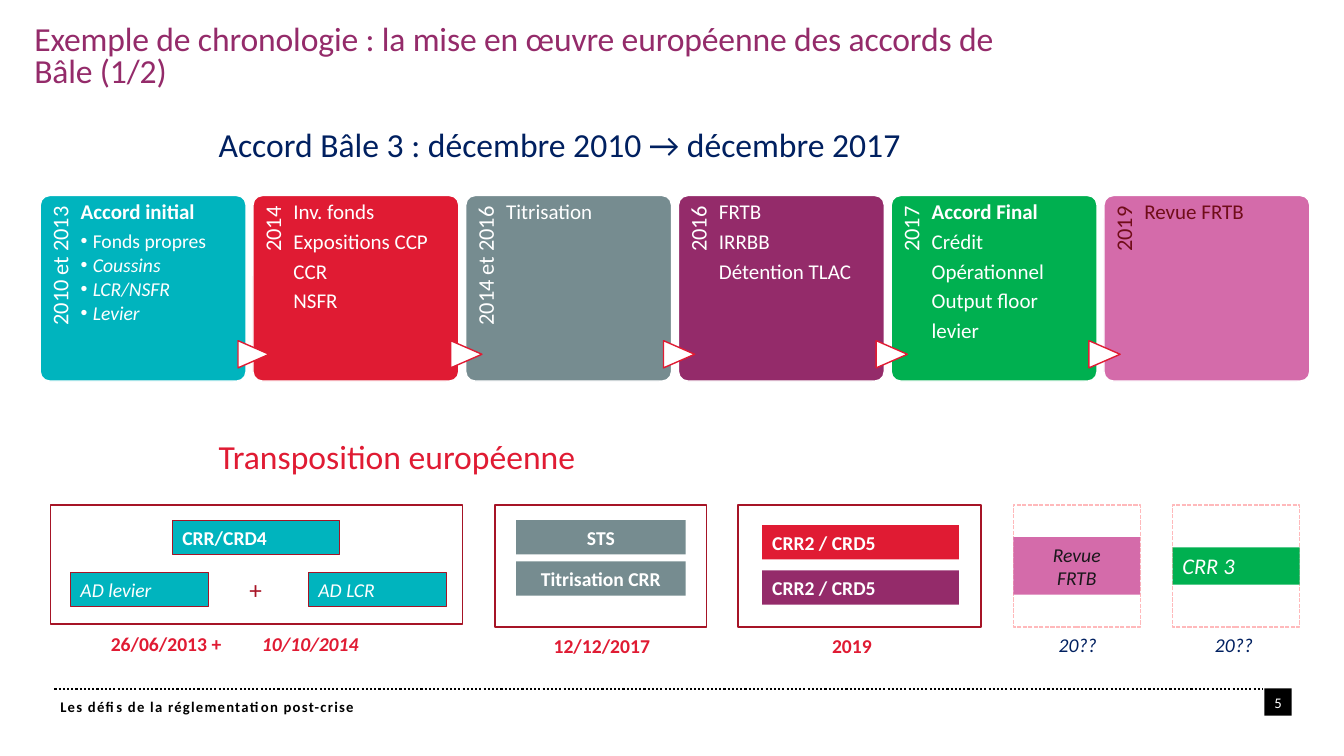
from lxml import etree
from pptx import Presentation
from pptx.dml.color import RGBColor
from pptx.enum.dml import MSO_LINE
from pptx.enum.shapes import MSO_CONNECTOR, MSO_SHAPE
from pptx.enum.text import MSO_ANCHOR, MSO_AUTO_SIZE, PP_ALIGN
from pptx.oxml.ns import qn
from pptx.util import Pt

RECT, ROUNDED = MSO_SHAPE.RECTANGLE, MSO_SHAPE.ROUNDED_RECTANGLE
EXTRACT, PROCESS = MSO_SHAPE.FLOWCHART_EXTRACT, MSO_SHAPE.FLOWCHART_PROCESS
STRAIGHT = MSO_CONNECTOR.STRAIGHT
DOTTED, DASHED = MSO_LINE.ROUND_DOT, MSO_LINE.SQUARE_DOT
TOP, MIDDLE = MSO_ANCHOR.TOP, MSO_ANCHOR.MIDDLE
LEFT, CENTER, RIGHT = PP_ALIGN.LEFT, PP_ALIGN.CENTER, PP_ALIGN.RIGHT
NO_FIT = MSO_AUTO_SIZE.NONE

FONT = "Calibri"
EMU_PER_PX = 9144
INSETS = (10, 5, 10, 5)
COLORS = {
    "white": "FFFFFF", "black": "000000", "ink": "1A171B", "navy": "002060",
    "teal": "00B4BE", "red": "E01B33", "grey": "768C90", "plum": "942B6A",
    "green": "00B050", "pink": "D46BAA", "maroon": "700D19",
    "frame": "A61426", "plus": "A81426", "pale": "FFB9BB",
}


def px(n):
    return n * EMU_PER_PX


def rgb(name):
    return RGBColor.from_string(COLORS[name])


class SlideBuilder:
    def __init__(self, s):
        self.s = s

    def frame(self, tf, anchor=TOP, insets=INSETS):
        tf.word_wrap = True
        tf.auto_size = NO_FIT
        tf.vertical_anchor = anchor
        tf.margin_left, tf.margin_top, tf.margin_right, tf.margin_bottom = map(px, insets)

    def para(self, tf, runs, size, color, align=LEFT, spacing=1.0, after=0,
             bullet=False, tabs=(), tracking=0):
        p = tf.paragraphs[0]
        if p.runs:
            p = tf.add_paragraph()
        p.alignment = align
        p.line_spacing = spacing
        p.space_before, p.space_after = Pt(0), Pt(after)
        pPr = p._p.get_or_add_pPr()
        indent = px(12) if bullet else 0
        pPr.set("marL", str(indent))
        pPr.set("indent", str(-indent))
        if bullet:
            etree.SubElement(pPr, qn("a:buChar"), char="•")
        else:
            etree.SubElement(pPr, qn("a:buNone"))
        if tabs:
            tab_list = etree.SubElement(pPr, qn("a:tabLst"))
            for pos in tabs:
                etree.SubElement(tab_list, qn("a:tab"), pos=str(px(pos)), algn="ctr")
        for text, style in runs:
            r = p.add_run()
            r.text = text
            r.font.name, r.font.size = FONT, Pt(size)
            r.font.bold, r.font.italic = "b" in style, "i" in style
            r.font.color.rgb = rgb(color)
            if tracking:
                r._r.get_or_add_rPr().set("spc", str(tracking))

    def place(self, sp, x, y, w, h):
        sp.left, sp.top, sp.width, sp.height = map(px, (x, y, w, h))

    def title(self, text, box, size, color):
        sp = self.s.shapes.title
        self.place(sp, *box)
        self.frame(sp.text_frame)
        self.para(sp.text_frame, [(text, "")], size, color, spacing=0.81, tracking=-10)

    def body(self, box, insets):
        sp = self.s.placeholders[1]
        self.s.shapes._spTree.append(sp._element)
        self.place(sp, *box)
        self.frame(sp.text_frame, insets=insets)
        return sp.text_frame

    def textbox(self, box, insets=INSETS):
        tf = self.s.shapes.add_textbox(*map(px, box)).text_frame
        self.frame(tf, insets=insets)
        return tf

    def label(self, text, box, size, color, style="", align=CENTER, tracking=0):
        self.para(self.textbox(box), [(text, style)], size, color, align, tracking=tracking)

    def shape(self, kind, box, fill=None, line=None, width=1, dash=None, rotation=0):
        sp = self.s.shapes.add_shape(kind, *map(px, box))
        sp.shadow.inherit = False
        sp.rotation = rotation
        if fill:
            sp.fill.solid()
            sp.fill.fore_color.rgb = rgb(fill)
        else:
            sp.fill.background()
        if line:
            sp.line.color.rgb = rgb(line)
            sp.line.width = Pt(width)
            if dash:
                sp.line.dash_style = dash
        else:
            sp.line.fill.background()
        return sp

    def tag(self, lines, box, fill, style, size=14, color="white", align=LEFT,
            line=None, insets=INSETS):
        tf = self.shape(RECT, box, fill, line, 0.75).text_frame
        self.frame(tf, MIDDLE, insets)
        for text in lines:
            self.para(tf, [(text, style)], size, color, align)

    def rule(self, x1, y1, x2, y2, color, width, dash):
        c = self.s.shapes.add_connector(STRAIGHT, *map(px, (x1, y1, x2, y2)))
        c.line.color.rgb = rgb(color)
        c.line.width = Pt(width)
        c.line.dash_style = dash
        etree.SubElement(c._element.spPr, qn("a:effectLst"))

    def card(self, i, year, fill, color, items):
        x = 211 * i
        sp = self.shape(ROUNDED, (50 + x, 184, 184, 204), fill, "white", rotation=270)
        sp.adjustments[0] = 0.05
        self.frame(sp.text_frame, insets=(33, 6, 8, 122))
        self.para(sp.text_frame, [(year, "")], 16, color, RIGHT, 0.9)
        if i:
            self.shape(EXTRACT, (27 + x, 336, 27, 31), "white", "red", rotation=90)
        box, insets = (80 + x, 194, 152, 184), (0, 6, 0, 0)
        has_list = any("•" in style for _, style in items)
        tf = self.body(box, insets) if has_list else self.textbox(box, insets)
        for text, style in items:
            bullet = "•" in style
            self.para(tf, [(text, style)], 14 if bullet else 15, color, spacing=0.9,
                      after=2 if bullet else 5, bullet=bullet)


CARDS = [
    ("2010 et 2013", "teal", "white",
     [("Accord initial", "b"), ("Fonds propres", "•"), ("Coussins", "•i"),
      ("LCR/NSFR", "•i"), ("Levier", "•i")]),
    ("2014", "red", "white",
     [("Inv. fonds", ""), ("Expositions CCP", ""), ("CCR", ""), ("NSFR", "")]),
    ("2014 et 2016", "grey", "white", [("Titrisation", "")]),
    ("2016", "plum", "white", [("FRTB", ""), ("IRRBB", ""), ("Détention TLAC", "")]),
    ("2017", "green", "white",
     [("Accord Final", "b"), ("Crédit", ""), ("Opérationnel", ""),
      ("Output floor", ""), ("levier", "")]),
    ("2019", "pink", "maroon", [("Revue FRTB", "")]),
]


def main():
    prs = Presentation()
    prs.slide_width, prs.slide_height = px(1333), px(750)
    b = SlideBuilder(prs.slides.add_slide(prs.slide_layouts[1]))

    b.rule(54, 684, 1253, 684, "black", 1.5, DOTTED)
    b.tag(["5"], (1254, 683, 27, 27), "black", "", 10.5, align=CENTER, insets=(0, 2, 0, 0))
    b.title("Exemple de chronologie : la mise en œuvre européenne des accords de Bâle (1/2)",
            (24, 20, 992, 101), 24, "plum")

    for i, card in enumerate(CARDS):
        b.card(i, *card)

    b.label("Accord Bâle 3 : décembre 2010 → décembre 2017", (207, 118, 1050, 81),
            24, "navy", align=LEFT)
    b.label("Transposition européenne", (207, 428, 1050, 50), 24, "red", align=LEFT)

    b.shape(RECT, (50, 501, 409, 118), line="frame")
    for text, box, style in [("CRR/CRD4", (171, 516, 166, 34), "b"),
                             ("AD levier", (70, 568, 137, 34), "i"),
                             ("AD LCR", (306, 568, 137, 34), "i")]:
        b.tag([text], box, "teal", style, line="frame")
    b.label("+", (210, 565, 87, 40), 18, "plus")
    b.para(b.textbox((50, 622, 409, 34)),
           [("\t26/06/2013\t+\t", "b"), ("10/10/2014", "bi")], 14, "red", tabs=(115, 194, 274))

    b.shape(RECT, (491, 501, 210, 121), line="frame")
    for text, y in [("STS", 516), ("Titrisation CRR", 557)]:
        b.tag([text], (512, y, 168, 34), "grey", "b", align=CENTER)

    b.shape(PROCESS, (732, 501, 241, 121), line="frame")
    for fill, y in [("red", 521), ("plum", 566)]:
        b.tag(["CRR2 / CRD5"], (756, y, 195, 34), fill, "b")

    for x in (1005, 1163):
        b.shape(RECT, (x, 501, 126, 121), line="pale", dash=DASHED)
    b.tag(["Revue", "FRTB"], (1005, 533, 126, 57), "pink", "i", color="ink", align=CENTER)
    b.tag(["CRR 3"], (1163, 543, 126, 37), "green", "i", 16)

    for text, x in [("12/12/2017", 492), ("2019", 740)]:
        b.label(text, (x, 624, 210, 34), 14, "red", "b")
    for x in (1006, 1161):
        b.label("20??", (x, 623, 126, 34), 14, "navy", "i")
    b.label("Les défis de la réglementation post-crise", (50, 687, 912, 27),
            10.5, "black", "b", LEFT, 90)

    prs.save("out.pptx")


if __name__ == "__main__":
    main()
